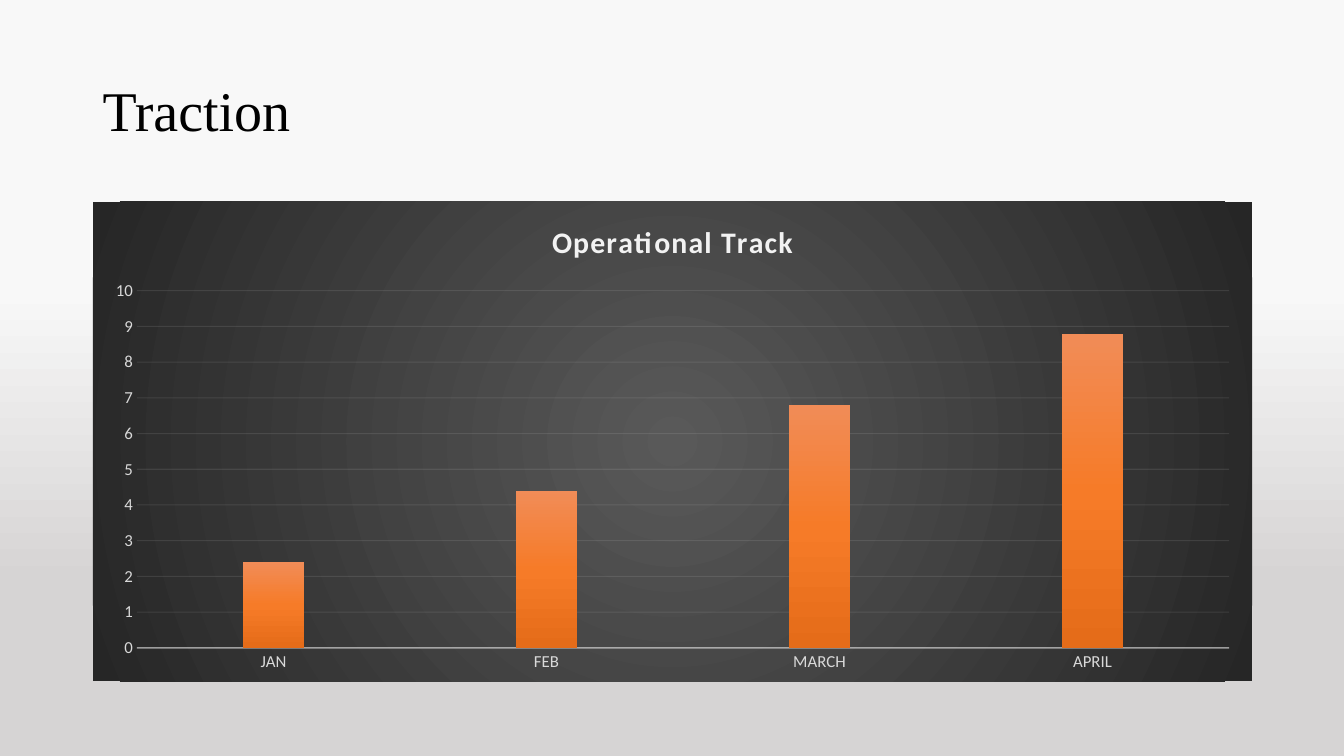
from lxml import etree
from pptx import Presentation
from pptx import util as u
from pptx.chart.data import CategoryChartData
from pptx.dml.color import RGBColor
from pptx.enum import chart as ch, text
from pptx.oxml.ns import qn

WIDTH, HEIGHT = u.Inches(13.33), u.Inches(7.5)
LEFT, CONTENT_WIDTH = u.Inches(0.92), u.Inches(11.5)

MONTHS = ["JAN", "FEB", "MARCH", "APRIL"]
NO_VALUES = [None] * len(MONTHS)
SERIES = [
    ("Series 1", NO_VALUES, ("71A6DB", "559BDB", "448ACA")),
    ("Series 2", [2.4, 4.4, 6.8, 8.8], ("F18C57", "F67B28", "E56C19")),
    ("Series 3", NO_VALUES, ("AFAFAF", "A5A5A5", "939393")),
]


def color(hex_string):
    return RGBColor.from_string(hex_string)


def format_font(font, size, hex_color, name="Calibri", bold=False):
    font.size, font.name, font.bold = u.Pt(size), name, bold
    font.color.rgb = color(hex_color)


def write_text(frame, content, spacing=0, line_spacing=None, **font_format):
    """Write one paragraph; spacing is the letter spacing in points."""
    paragraph = frame.paragraphs[0]
    if line_spacing:
        paragraph.line_spacing = line_spacing
    run = paragraph.add_run()
    run.text = content
    format_font(run.font, **font_format)
    if spacing:
        run.font._element.set("spc", str(int(spacing * 100)))


def gradient_fill(stops, radial=False):
    """Build a gradient from (percent, colour) stops, downward or from the centre."""
    fill = etree.Element(qn("a:gradFill"), rotWithShape="1")
    stop_list = etree.SubElement(fill, qn("a:gsLst"))
    for percent, hex_color in stops:
        stop = etree.SubElement(stop_list, qn("a:gs"), pos=str(percent * 1000))
        etree.SubElement(stop, qn("a:srgbClr"), val=hex_color)
    if radial:
        circle = etree.SubElement(fill, qn("a:path"), path="circle")
        center = dict.fromkeys("ltrb", "50000")
        etree.SubElement(circle, qn("a:fillToRect"), center)
    else:
        etree.SubElement(fill, qn("a:lin"), ang="5400000", scaled="0")
    return fill


def replace_solid_fill(parent, fill):
    parent.replace(parent.find(qn("a:solidFill")), fill)


def format_line(line, hex_color, width, opacity):
    line.width = u.Pt(width)
    line.color.rgb = color(hex_color)
    for rgb in line._ln.iter(qn("a:srgbClr")):
        etree.SubElement(rgb, qn("a:alpha"), val=str(opacity * 1000))


def set_background(slide):
    slide.background.fill.solid()
    properties = next(slide.element.iter(qn("p:bgPr")))
    replace_solid_fill(properties, gradient_fill([(38, "F8F8F8"), (77, "D6D4D4")]))


def add_title(slide, content):
    box = slide.shapes.add_textbox(LEFT, u.Inches(0.4), CONTENT_WIDTH, u.Inches(1.45))
    frame = box.text_frame
    frame.word_wrap = True
    frame.vertical_anchor = text.MSO_ANCHOR.MIDDLE
    write_text(frame, content, line_spacing=0.9, size=40, hex_color="000000",
               name="Times New Roman")


def set_chart_area(chart):
    properties = etree.Element(qn("c:spPr"))
    properties.append(gradient_fill([(0, "595959"), (100, "262626")], radial=True))
    outline = etree.SubElement(properties, qn("a:ln"))
    etree.SubElement(outline, qn("a:noFill"))
    chart.element.find(qn("c:chart")).addnext(properties)


def format_axes(chart):
    for axis in (chart.category_axis, chart.value_axis):
        axis.major_tick_mark = axis.minor_tick_mark = ch.XL_TICK_MARK.NONE
        format_font(axis.tick_labels.font, 12, "D9D9D9")
    format_line(chart.category_axis.format.line, "F2F2F2", 1, 54)
    values = chart.value_axis
    values.minimum_scale, values.maximum_scale, values.major_unit = 0, 10, 1
    values.format.line.fill.background()
    format_line(values.major_gridlines.format.line, "F2F2F2", 0.75, 10)


def add_column_chart(slide, title):
    data = CategoryChartData()
    data.categories = MONTHS
    for name, values, _ in SERIES:
        data.add_series(name, values)
    chart = slide.shapes.add_chart(
        ch.XL_CHART_TYPE.COLUMN_CLUSTERED, LEFT, u.Inches(2),
        CONTENT_WIDTH, u.Inches(4.76), data).chart
    format_font(chart.font, 10, "000000")
    chart.has_legend = False
    chart.has_title = True
    chart.chart_title.include_in_layout = False
    write_text(chart.chart_title.text_frame, title, spacing=1, size=21.28,
               hex_color="F2F2F2", bold=True)
    set_chart_area(chart)
    format_axes(chart)

    plot = chart.plots[0]
    plot.gap_width, plot.overlap, plot.vary_by_categories = 100, -24, False
    for series, (_, _, shades) in zip(plot.series, SERIES):
        series.format.fill.solid()
        replace_solid_fill(series._element.find(qn("c:spPr")),
                           gradient_fill(zip((0, 50, 100), shades)))


def main():
    presentation = Presentation()
    presentation.slide_width, presentation.slide_height = WIDTH, HEIGHT
    slide = presentation.slides.add_slide(presentation.slide_layouts[6])
    set_background(slide)
    add_title(slide, "Traction")
    add_column_chart(slide, "Operational Track")
    presentation.save("out.pptx")


if __name__ == "__main__":
    main()
